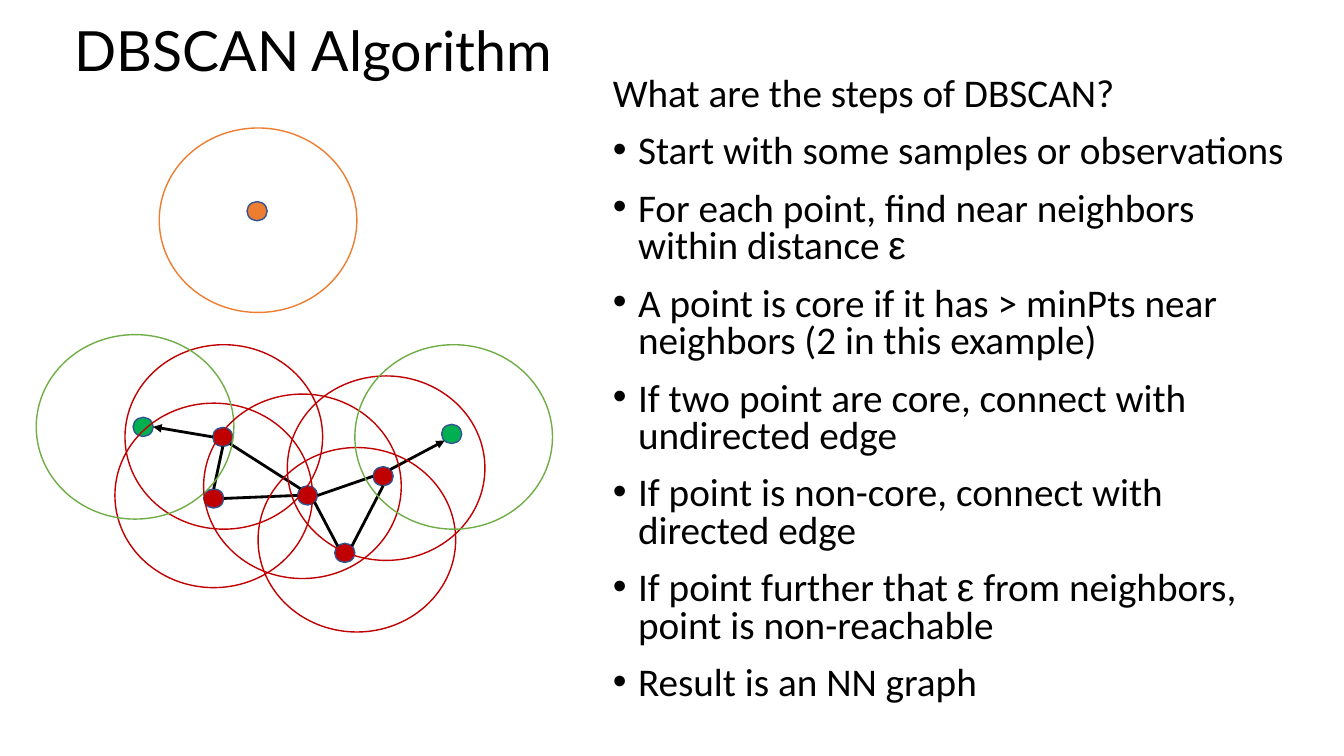
from pptx import Presentation
from pptx.dml.color import RGBColor
from pptx.enum.shapes import MSO_CONNECTOR as Connector, MSO_SHAPE as Shape
from pptx.enum.text import MSO_ANCHOR as Anchor
from pptx.oxml.ns import qn
from pptx.util import Inches, Pt
from lxml.etree import SubElement

BLACK, RED, GREEN, ORANGE = "000000", "C00000", "00B050", "ED7D31"
LIGHT_GREEN, DOT_OUTLINE = "70AD47", "325491"
DOT_WIDTH, DOT_HEIGHT = 0.2, 0.19
REACH_WIDTH, REACH_HEIGHT = 1.96, 1.83

DOTS = {
    "upper core": (1.75, 0.92, RED),
    "left border": (0.96, 0.82, GREEN),
    "outlier": (2.09, -1.32, ORANGE),
    "lower core": (1.66, 1.53, RED),
    "hub core": (2.59, 1.5, RED),
    "right core": (3.34, 1.31, RED),
    "bottom core": (2.96, 2.07, RED),
    "right border": (4.02, 0.89, GREEN),
}
REACHES = [
    (0.88, 0.1, RED), (0.78, 0.68, RED), (0, 0, LIGHT_GREEN),
    (1.66, 0.59, RED), (2.49, 0.41, RED), (2.2, 1.12, RED),
    (3.16, 0.1, LIGHT_GREEN), (1.22, -2.05, ORANGE),
]
EDGES = [
    ("right core", "bottom", "bottom core", "top right", False),
    ("upper core", "bottom", "lower core", "top", False),
    ("upper core", "left", "left border", "right", True),
    ("upper core", "bottom right", "hub core", "top left", False),
    ("lower core", "right", "hub core", "left", False),
    ("hub core", "right", "right core", "left", False),
    ("hub core", "bottom right", "bottom core", "top left", False),
    ("right core", "top right", "right border", "bottom left", True),
]
SITES = {
    "top": (0.5, 0), "bottom": (0.5, 1), "left": (0, 0.5), "right": (1, 0.5),
    "top left": (0.15, 0.15), "top right": (0.85, 0.15),
    "bottom left": (0.15, 0.85), "bottom right": (0.85, 0.85),
}
QUESTION = "What are the steps of DBSCAN?"
STEPS = [
    ["Start with some samples or observations"],
    ["For each point, find near neighbors within distance ", "ε"],
    ["A point is core if it has > minPts near neighbors (2 in this example)"],
    ["If two point are core, connect with undirected edge"],
    ["If point is non-core, connect with directed edge"],
    ["If point further that ", "ε", " from neighbors, point is non-reachable"],
    ["Result is an NN graph"],
]


def color(value):
    """Turn a hex string into a colour."""
    return RGBColor.from_string(value)


def add_span(para, text, font, size):
    """Append one run of black text."""
    span = para.add_run()
    span.text = text
    span.font.name = font
    span.font.size = Pt(size)
    span.font.color.rgb = color(BLACK)


def add_box(page, left, top, width, height):
    """Add a wrapping text box and return its frame."""
    box = page.shapes.add_textbox(*map(Inches, (left, top, width, height)))
    box.text_frame.word_wrap = True
    return box.text_frame


def add_title(page, left, top, width, height):
    """Write the slide title."""
    frame = add_box(page, left, top, width, height)
    frame.vertical_anchor = Anchor.MIDDLE
    para = frame.paragraphs[0]
    para.line_spacing = 0.9
    add_span(para, "DBSCAN Algorithm", "Lato", 39.6)


def add_bullet(para):
    """Give a paragraph a hanging bullet."""
    props = para._p.get_or_add_pPr()
    props.set("marL", str(Inches(0.25)))
    props.set("indent", str(-Inches(0.25)))
    SubElement(props, qn("a:buFont"), typeface="Arial")
    SubElement(props, qn("a:buChar"), char="•")


def add_steps(page, left, top, width, height):
    """Write the question and its bulleted steps."""
    frame = add_box(page, left, top, width, height)
    question = frame.paragraphs[0]
    question.line_spacing = 0.8
    add_span(question, QUESTION, "Calibri", 28)
    for step in STEPS:
        para = frame.add_paragraph()
        add_bullet(para)
        para.line_spacing = 0.8
        para.space_before = Pt(14)
        for text in step:
            add_span(para, text, "Arial" if text == "ε" else "Calibri", 28)


def add_ellipse(page, left, top, width, height, outline, fill=None):
    """Draw an ellipse, hollow unless a fill is given."""
    ellipse = page.shapes.add_shape(Shape.OVAL, *map(Inches, (left, top, width, height)))
    ellipse.shadow.inherit = False
    ellipse.line.color.rgb = color(outline)
    ellipse.line.width = Pt(1)
    if fill:
        ellipse.fill.solid()
        ellipse.fill.fore_color.rgb = color(fill)
    else:
        ellipse.fill.background()


def add_edge(page, start, end, directed):
    """Draw a graph edge, with an arrowhead if directed."""
    edge = page.shapes.add_connector(Connector.STRAIGHT, *map(Inches, (*start, *end)))
    edge.line.color.rgb = color(BLACK)
    edge.line.width = Pt(2)
    if directed:
        SubElement(edge.line._get_or_add_ln(), qn("a:tailEnd"), type="triangle")
    SubElement(edge._element.spPr, qn("a:effectLst"))


def add_graph(page, left, top):
    """Draw the points, their edges and their neighborhoods."""
    def site(name, side):
        """Locate a connection site on a dot."""
        x, y, _ = DOTS[name]
        across, down = SITES[side]
        return left + x + across * DOT_WIDTH, top + y + down * DOT_HEIGHT

    for x, y, fill in DOTS.values():
        add_ellipse(page, left + x, top + y, DOT_WIDTH, DOT_HEIGHT, DOT_OUTLINE, fill)
    for source, source_side, target, target_side, directed in EDGES:
        add_edge(page, site(source, source_side), site(target, target_side), directed)
    for x, y, outline in REACHES:
        add_ellipse(page, left + x, top + y, REACH_WIDTH, REACH_HEIGHT, outline)


def main():
    """Build and save the slide."""
    deck = Presentation()
    deck.slide_width, deck.slide_height = Inches(13.33), Inches(7.5)
    page = deck.slides.add_slide(deck.slide_layouts[6])
    add_title(page, 0.64, 0.24, 11.5, 0.58)
    add_steps(page, 5.98, 0.72, 6.99, 6.66)
    add_graph(page, 0.36, 3.32)
    deck.save("out.pptx")


if __name__ == "__main__":
    main()
